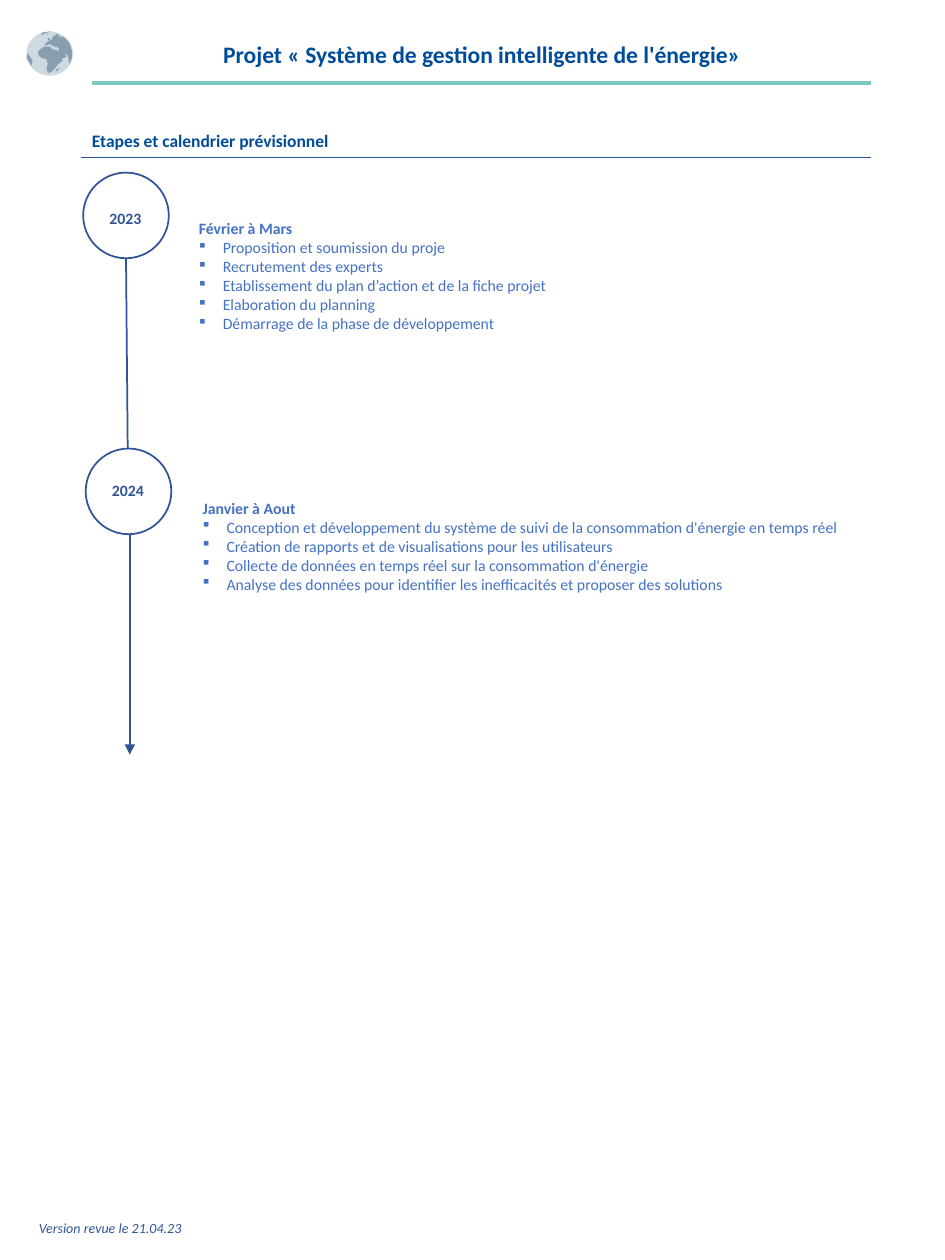
from lxml import etree
from pptx import Presentation
from pptx.dml.color import RGBColor
from pptx.enum import shapes, text
from pptx.oxml.ns import qn
from pptx.util import Inches, Pt

TITLE = "Projet « Système de gestion intelligente de l'énergie»"
SECTION = "Etapes et calendrier prévisionnel"
VERSION = "Version revue le 21.04.23"
FONT = "Calibri"
NAVY, BLUE, HEADING, TEAL = "2F5597", "4472C4", "004C99", "7AC8C0"
WHITE, SEA, LAND = "FFFFFF", "CFD9E0", "869FB1"
DIAMETER = 0.68
PLAIN_TABLE = "{2D5ABB26-0587-4C30-8999-92F81FD0307C}"

# circle and label are (left, top); box is (left, top, width, height)
STAGES = [
    {"year": "2023", "circle": (0.66, 1.37), "label": (0.77, 1.57),
     "line": (1, 2.05, 1.02, 4.24), "arrow": False,
     "period": "Février à Mars", "box": (1.48, 1.69, 5.57, 1.66),
     "tasks": ["Proposition et soumission du proje",
               "Recrutement des experts",
               "Etablissement du plan d’action et de la fiche projet",
               "Elaboration du planning",
               "Démarrage de la phase de développement"]},
    {"year": "2024", "circle": (0.68, 3.56), "label": (0.79, 3.73),
     "line": (1.03, 4.19, 1.03, 5.99), "arrow": True,
     "period": "Janvier à Aout", "box": (1.51, 3.91, 5.5, 1.98),
     "tasks": ["Conception et développement du système de suivi de la "
               "consommation d'énergie en temps réel",
               "Création de rapports et de visualisations pour les utilisateurs",
               "Collecte de données en temps réel sur la consommation d'énergie",
               "Analyse des données pour identifier les inefficacités et "
               "proposer des solutions"]},
]

CONTINENTS = [
    # Europe and Asia
    [(0.45, 0.27), (0.41, 0.3), (0.42, 0.31), (0.38, 0.33), (0.35, 0.36),
     (0.37, 0.36), (0.4, 0.35), (0.42, 0.37), (0.41, 0.35), (0.43, 0.37),
     (0.45, 0.37), (0.47, 0.39), (0.46, 0.42), (0.48, 0.47), (0.53, 0.45),
     (0.5, 0.42), (0.54, 0.44), (0.55, 0.51), (0.57, 0.46), (0.57, 0.4),
     (0.55, 0.34), (0.5, 0.29), (0.48, 0.3), (0.48, 0.29)],
    # Africa
    [(0.35, 0.37), (0.38, 0.37), (0.4, 0.37), (0.41, 0.39), (0.46, 0.4),
     (0.48, 0.46), (0.5, 0.48), (0.46, 0.51), (0.44, 0.54), (0.41, 0.57),
     (0.38, 0.58), (0.37, 0.54), (0.38, 0.51), (0.37, 0.47), (0.33, 0.46),
     (0.3, 0.43), (0.31, 0.4)],
    # South America
    [(0.22, 0.42), (0.21, 0.46), (0.25, 0.52), (0.26, 0.48), (0.23, 0.44)],
    # Greenland
    [(0.4, 0.25), (0.33, 0.26), (0.33, 0.28), (0.37, 0.26), (0.41, 0.25)],
    # Madagascar
    [(0.47, 0.54), (0.45, 0.55), (0.44, 0.57), (0.46, 0.56)],
    # British Isles, Iceland
    [(0.38, 0.3), (0.38, 0.32), (0.4, 0.32), (0.39, 0.3)],
    [(0.37, 0.27), (0.37, 0.28), (0.38, 0.28), (0.38, 0.27)],
]


def rgb(color):
    return RGBColor.from_string(color)


def style(paragraph, size, color, bold=False, italic=False):
    font = paragraph.font
    font.name, font.size, font.bold, font.italic = FONT, Pt(size), bold, italic
    font.color.rgb = rgb(color)


def paint(shape, fill, line=None):
    shape.shadow.inherit = False
    shape.fill.solid()
    shape.fill.fore_color.rgb = rgb(fill)
    if line:
        shape.line.color.rgb = rgb(line)
        shape.line.width = Pt(1)
    else:
        shape.line.fill.background()


def add_line(ends, color, width, arrow=False):
    line = slide.shapes.add_connector(
        shapes.MSO_CONNECTOR.STRAIGHT, *map(Inches, ends))
    line.line.color.rgb = rgb(color)
    line.line.width = Pt(width)
    if arrow:
        etree.SubElement(line.line._get_or_add_ln(), qn("a:tailEnd"), type="triangle")
    etree.SubElement(line._element.spPr, qn("a:effectLst"))


def add_bullet(paragraph):
    """Hang the paragraph from a small square, which is § in Wingdings."""
    props = paragraph._p.get_or_add_pPr()
    props.set("marL", str(Inches(0.19)))
    props.set("indent", str(Inches(-0.19)))
    for bullet in (etree.Element(qn("a:buFont"), typeface="Wingdings"),
                   etree.Element(qn("a:buChar"), char="§")):
        props.insert_element_before(bullet, "a:tabLst", "a:defRPr", "a:extLst")


def add_stage(stage):
    add_line(stage["line"], NAVY, 1, stage["arrow"])

    box = slide.shapes.add_textbox(*map(Inches, stage["box"])).text_frame
    box.word_wrap = True
    box.text = "\n".join([stage["period"], *stage["tasks"]])
    period, *tasks = box.paragraphs
    style(period, 9, BLUE, bold=True)
    for task in tasks:
        style(task, 9, BLUE)
        add_bullet(task)


def add_year(stage):
    circle = slide.shapes.add_shape(
        shapes.MSO_SHAPE.OVAL, *map(Inches, (*stage["circle"], DIAMETER, DIAMETER)))
    paint(circle, WHITE, NAVY)

    label = slide.shapes.add_shape(
        shapes.MSO_SHAPE.RECTANGLE, *map(Inches, (*stage["label"], 0.45, 0.28)))
    paint(label, WHITE)
    frame = label.text_frame
    frame.word_wrap = False
    frame.vertical_anchor = text.MSO_ANCHOR.TOP
    frame.text = stage["year"]
    year = frame.paragraphs[0]
    year.alignment = text.PP_ALIGN.CENTER
    year.line_spacing = Pt(13.5)
    style(year, 9, NAVY, bold=True)


def add_section_heading():
    table = slide.shapes.add_table(1, 1, *map(Inches, (0.64, 1, 6.27, 0.24))).table
    table.first_row = table.horz_banding = False
    table._tbl.tblPr.find(qn("a:tableStyleId")).text = PLAIN_TABLE
    cell = table.cell(0, 0)
    cell.fill.background()
    cell.vertical_anchor = text.MSO_ANCHOR.MIDDLE
    cell.margin_left, cell.margin_right = Inches(0.09), Inches(0.07)
    cell.margin_top = cell.margin_bottom = Inches(0.04)
    cell.text = SECTION
    style(cell.text_frame.paragraphs[0], 10, HEADING, bold=True)

    border = etree.Element(qn("a:lnB"), w=str(Pt(1)))
    fill = etree.SubElement(border, qn("a:solidFill"))
    etree.SubElement(fill, qn("a:srgbClr"), val=NAVY)
    etree.SubElement(border, qn("a:prstDash"), val="solid")
    cell._tc.get_or_add_tcPr().insert(0, border)


def add_globe():
    sea = slide.shapes.add_shape(
        shapes.MSO_SHAPE.OVAL, *map(Inches, (0.21, 0.25, 0.37, 0.35)))
    paint(sea, SEA)
    for continent in CONTINENTS:
        start, *coast = [(Inches(x), Inches(y)) for x, y in continent]
        outline = slide.shapes.build_freeform(*start)
        outline.add_line_segments(coast)
        paint(outline.convert_to_shape(), LAND)


prs = Presentation()
prs.slide_width, prs.slide_height = Inches(7.5), Inches(10)
slide = prs.slides.add_slide(prs.slide_layouts[5])

title = slide.shapes.title
title.left, title.top, title.width, title.height = map(Inches, (0.45, 0.2, 6.75, 0.45))
title.text_frame.text = TITLE
title.text_frame.vertical_anchor = text.MSO_ANCHOR.MIDDLE
title.text_frame.paragraphs[0].alignment = text.PP_ALIGN.CENTER
style(title.text_frame.paragraphs[0], 13.5, HEADING, bold=True)
add_line((0.73, 0.66, 6.91, 0.66), TEAL, 2.25)
add_globe()

add_section_heading()
for stage in STAGES:
    add_stage(stage)
for stage in STAGES:
    add_year(stage)

version = slide.shapes.add_textbox(*map(Inches, (0.21, 9.63, 1.35, 0.24))).text_frame
version.word_wrap = False
version.text = VERSION
style(version.paragraphs[0], 8, NAVY, italic=True)

prs.save("out.pptx")
